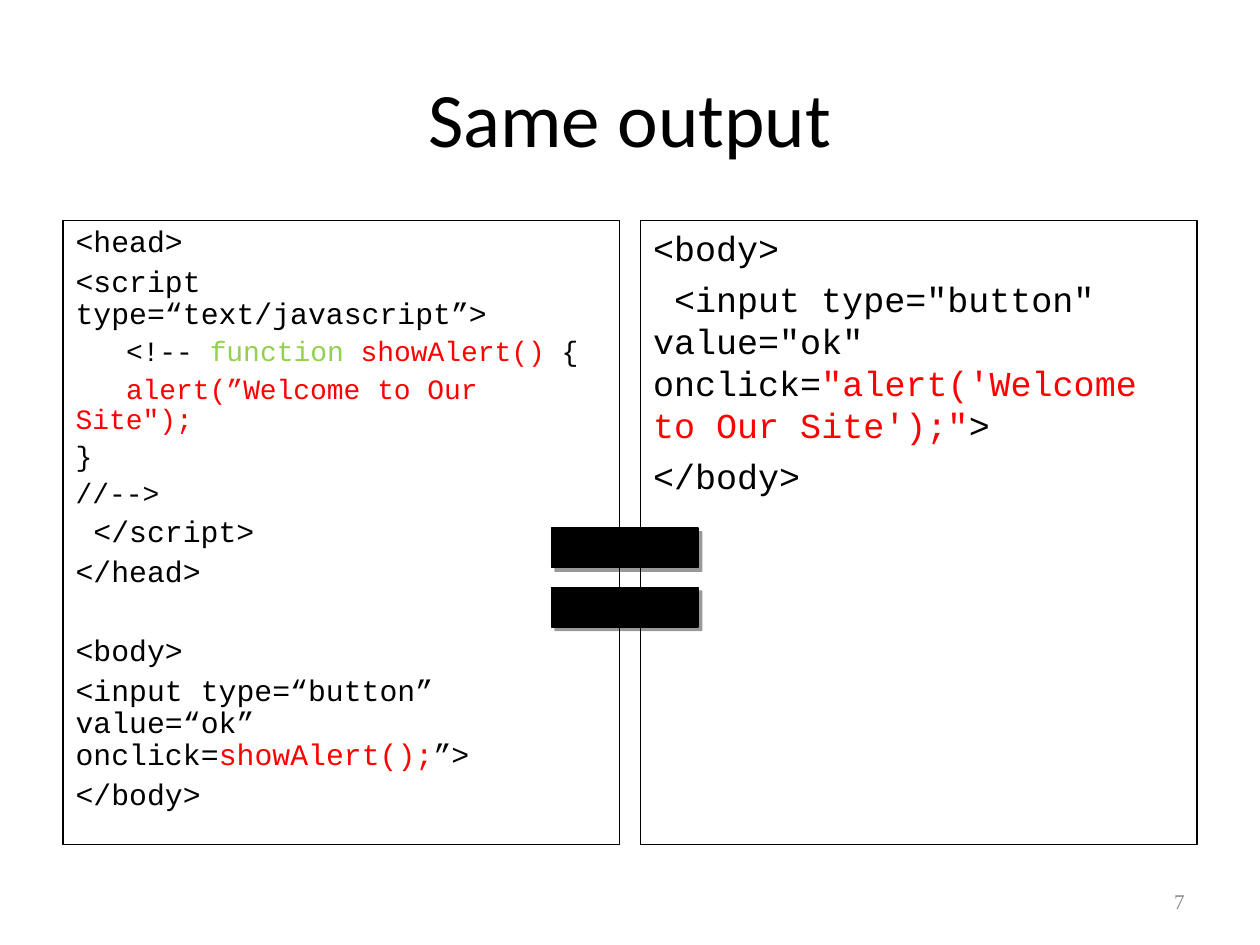
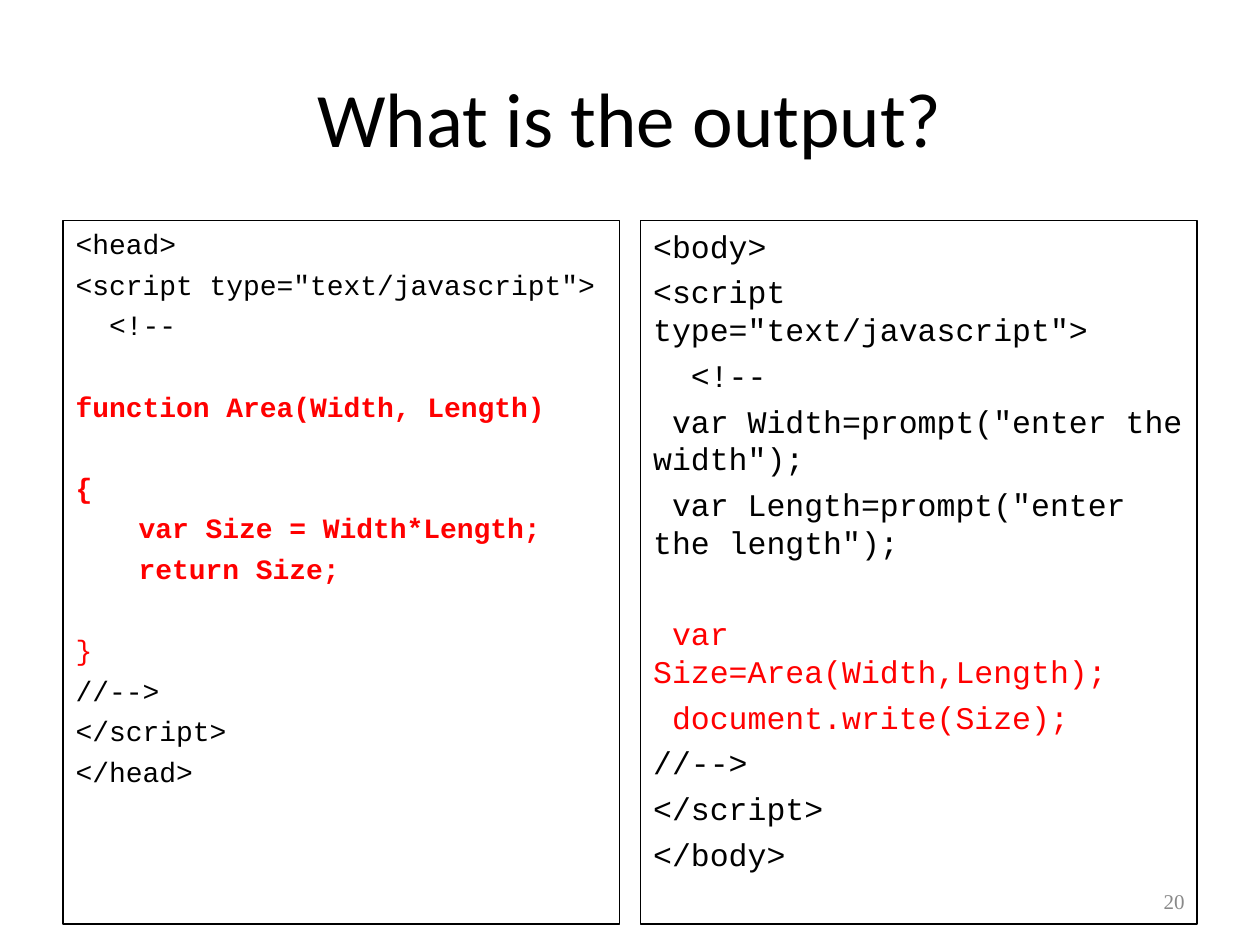
from dataclasses import dataclass

from lxml.etree import SubElement
from pptx import Presentation
from pptx.dml.color import RGBColor
from pptx.enum.shapes import MSO_SHAPE as Shape
from pptx.enum.text import MSO_ANCHOR as Anchor, MSO_AUTO_SIZE as AutoSize, PP_ALIGN as Align
from pptx.oxml.ns import qn
from pptx.util import Emu, Pt

PX = 7620
BLACK = RGBColor(0x00, 0x00, 0x00)
RED = RGBColor(0xFF, 0x00, 0x00)
GREEN = RGBColor(0x92, 0xD0, 0x50)
GREY = RGBColor(0x89, 0x89, 0x89)
TITLE_FONT, CODE_FONT, NUMBER_FONT = "Calibri", "Courier New", "Times New Roman"
CHAR_WIDTH = 0.6
LINE_HEIGHT = 1.2
TAB = 36
PANEL_LEFTS = (60, 610)
PANEL_TOP, PANEL_WIDTH = 210, 530


@dataclass(frozen=True)
class Span:
    text: str
    color: RGBColor = BLACK
    bold: bool = False


@dataclass(frozen=True)
class Line:
    spans: tuple[Span, ...]
    chars: int = 0
    tabs: int = 0
    gap: bool = False
    size: int | None = None


@dataclass(frozen=True)
class Panel:
    lines: tuple[Line, ...]
    size: int
    spacing: float = 1.0


@dataclass(frozen=True)
class CodeSlide:
    title: str
    number: int
    panel_height: int
    panels: tuple[Panel, Panel]
    equals: bool = False


def code(text: str, color: RGBColor = BLACK, bold: bool = False, **layout) -> Line:
    return Line((Span(text, color, bold),), **layout)


HEAD_CALL = Panel((
    code("<head>"),
    code("<script type=“text/javascript”>"),
    Line((Span("<!-- "), Span("function ", GREEN), Span("showAlert() ", RED), Span("{")),
         chars=3, size=16),
    code("alert(”Welcome to Our Site\");", RED, chars=3, size=16),
    code("}", size=16),
    code("//-->", size=16),
    code("</script>", chars=1),
    code("</head>"),
    code("<body>", gap=True),
    Line((Span("<input type=“button” value=“ok” onclick="), Span("showAlert();", RED), Span("”>"))),
    code("</body>"),
), size=17, spacing=0.9)

INLINE_CALL = Panel((
    code("<body>"),
    Line((Span('<input type="button" value="ok" onclick='),
          Span("\"alert('Welcome to Our Site');\"", RED), Span(">")), chars=1),
    code("</body>"),
), size=20)

AREA_FUNCTION = Panel((
    code("<head>"),
    code('<script type="text/javascript">'),
    code("<!--", chars=2),
    code("function Area(Width, Length)", RED, True, gap=True),
    code("{", RED, True, gap=True),
    code("var Size = Width*Length;", RED, True, tabs=1),
    code("return Size;", RED, True, tabs=1),
    code("}", RED, gap=True),
    code("//-->"),
    code("</script>"),
    code("</head>"),
), size=16)

AREA_CALL = Panel((
    code("<body>"),
    code('<script type="text/javascript">'),
    code("<!--", chars=2),
    code('var Width=prompt("enter the width");', chars=1),
    code('var Length=prompt("enter the length");', chars=1),
    code("var Size=Area(Width,Length);", RED, chars=1, gap=True),
    code("document.write(Size);", RED, chars=1),
    code("//-->"),
    code("</script>"),
    code("</body>"),
), size=18)

SLIDES = (
    CodeSlide("Same output", 7, 594, (HEAD_CALL, INLINE_CALL), equals=True),
    CodeSlide("What is the output?", 20, 670, (AREA_FUNCTION, AREA_CALL)),
)


def box(*px: int) -> list[Emu]:
    return [Emu(n * PX) for n in px]


def place(sp, *px: int) -> None:
    sp.left, sp.top, sp.width, sp.height = box(*px)


def style(r, font: str, size: float, color: RGBColor, bold: bool = False) -> None:
    r.font.name = font
    r.font.size = Pt(size)
    r.font.color.rgb = color
    r.font.bold = bold


def outline(sp) -> None:
    sp.line.color.rgb = BLACK
    sp.line.width = Pt(0.75)


def draw_title(s, text: str) -> None:
    sp = s.shapes.title
    place(sp, 60, 36, 1080, 150)
    tf = sp.text_frame
    tf.text = text
    tf.vertical_anchor = Anchor.MIDDLE
    tf.auto_size = AutoSize.NONE
    p = tf.paragraphs[0]
    p.alignment = Align.CENTER
    style(p.runs[0], TITLE_FONT, 44, BLACK)


def write_line(p, line: Line, panel: Panel) -> None:
    size = line.size or panel.size
    before = size / 4
    if line.gap:
        before = 2 * before + LINE_HEIGHT * size * panel.spacing
    p.line_spacing = panel.spacing
    p.space_before = Pt(round(before, 2))
    pPr = p._p.get_or_add_pPr()
    pPr.set("marL", "0")
    pPr.set("indent", str(int(Pt(line.tabs * TAB + line.chars * CHAR_WIDTH * size))))
    SubElement(pPr, qn("a:buNone"))
    for span in line.spans:
        r = p.add_run()
        r.text = span.text
        style(r, CODE_FONT, size, span.color, span.bold)


def draw_panel(sp, panel: Panel, left: int, height: int) -> None:
    place(sp, left, PANEL_TOP, PANEL_WIDTH, height)
    outline(sp)
    tf = sp.text_frame
    tf.word_wrap = True
    tf.auto_size = AutoSize.NONE
    tf.vertical_anchor = Anchor.TOP
    for i, line in enumerate(panel.lines):
        p = tf.add_paragraph() if i else tf.paragraphs[0]
        write_line(p, line, panel)


def draw_number(s, number: int) -> None:
    tf = s.shapes.add_textbox(*box(860, 834, 280, 48)).text_frame
    tf.word_wrap = True
    tf.vertical_anchor = Anchor.MIDDLE
    tf.text = str(number)
    p = tf.paragraphs[0]
    p.alignment = Align.RIGHT
    style(p.runs[0], NUMBER_FONT, 12, GREY)


def draw_equals(s) -> None:
    sp = s.shapes.add_shape(Shape.MATH_EQUAL, *box(500, 470, 190, 160))
    sp.fill.solid()
    sp.fill.fore_color.rgb = BLACK
    outline(sp)
    sp.shadow.inherit = False
    effects = sp._element.spPr.find(qn("a:effectLst"))
    shadow = SubElement(effects, qn("a:outerShdw"), blurRad="0", dist=str(int(Pt(3))),
                        dir="2700000", algn="tl", rotWithShape="0")
    color = SubElement(shadow, qn("a:srgbClr"), val=str(BLACK))
    SubElement(color, qn("a:alpha"), val="40000")


def draw_slide(prs, content: CodeSlide) -> None:
    s = prs.slides.add_slide(prs.slide_layouts.get_by_name("Two Content"))
    draw_title(s, content.title)
    for idx, (panel, left) in enumerate(zip(content.panels, PANEL_LEFTS), 1):
        draw_panel(s.placeholders[idx], panel, left, content.panel_height)
    draw_number(s, content.number)
    if content.equals:
        draw_equals(s)


def main() -> None:
    prs = Presentation()
    prs.slide_width, prs.slide_height = box(1200, 900)
    for content in SLIDES:
        draw_slide(prs, content)
    prs.save("out.pptx")


if __name__ == "__main__":
    main()
